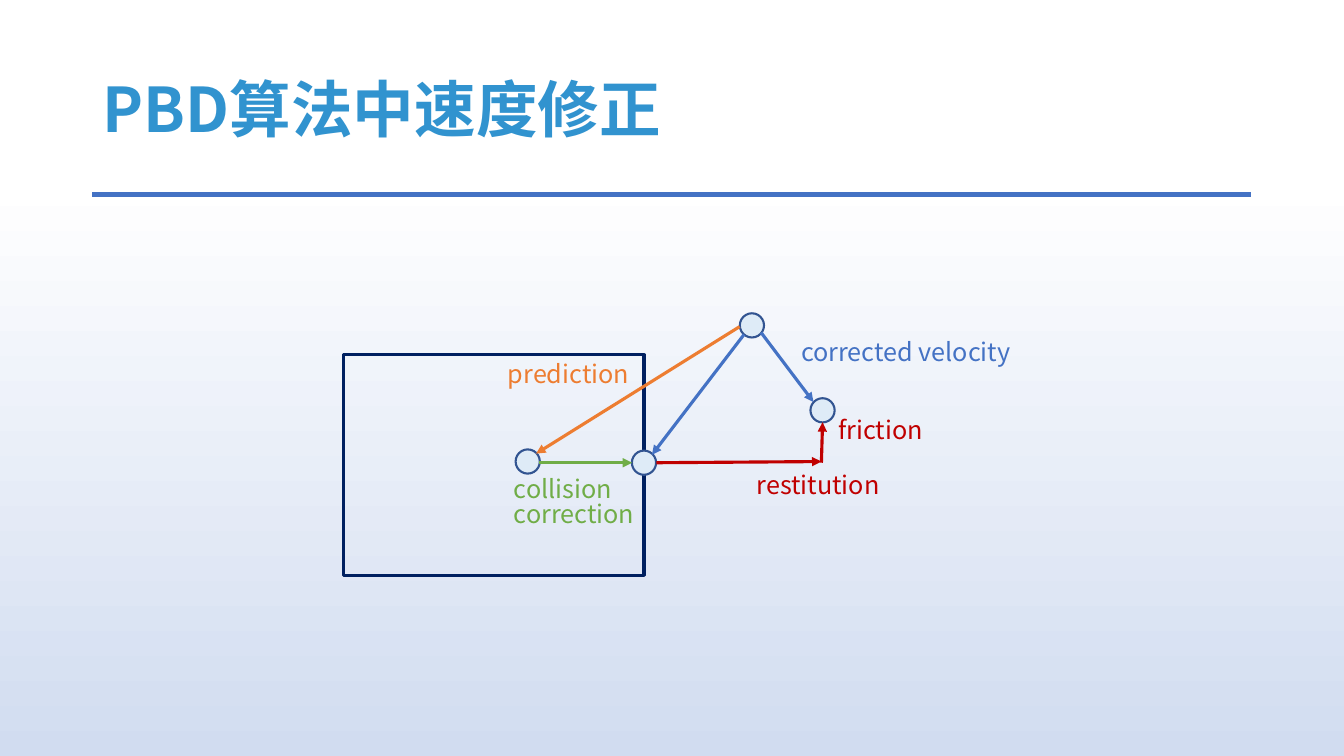
from lxml import etree
from pptx import Presentation
from pptx.dml.color import RGBColor
from pptx.enum.shapes import MSO_CONNECTOR, MSO_SHAPE
from pptx.enum.text import MSO_ANCHOR, MSO_AUTO_SIZE, PP_ALIGN
from pptx.oxml.ns import qn
from pptx.util import Cm, Pt

FONT = "Noto Sans CJK SC"
COLORS = {
    "title": "3193CF", "blue": "4472C4", "navy": "002060",
    "orange": "ED7D31", "green": "70AD47", "red": "C00000",
    "particle": "DEEBF7", "outline": "325491",
    "bg_top": "FFFFFF", "bg_bottom": "D1DCF0",
}
PARTICLE_SIZE = 0.61


def rgb(name):
    return RGBColor.from_string(COLORS[name])


def set_background(s):
    fill = s.background.fill
    fill.gradient()
    fill.gradient_angle = 270
    for stop, position, name in zip(fill.gradient_stops, (0.24, 1), ("bg_top", "bg_bottom")):
        stop.position = position
        stop.color.rgb = rgb(name)


def format_text(tf, size, color, spacing, bold=False):
    for p in tf.paragraphs:
        p.alignment = PP_ALIGN.LEFT
        p.line_spacing = spacing
        for r in p.runs:
            r.font.size = Pt(size)
            r.font.bold = bold
            r.font.name = FONT
            r.font.color.rgb = rgb(color)
            ea = etree.SubElement(r.font._element, qn("a:ea"))
            ea.set("typeface", FONT)


def set_title(s, text):
    sp = s.shapes.title
    sp.left, sp.top, sp.width, sp.height = Cm(2.33), Cm(1.02), Cm(29.21), Cm(3.68)
    tf = sp.text_frame
    tf.text = text
    tf.auto_size = MSO_AUTO_SIZE.NONE
    tf.vertical_anchor = MSO_ANCHOR.MIDDLE
    format_text(tf, 44, "title", 0.84, bold=True)


def add_line(s, x1, y1, x2, y2, color, width=2.25, arrow=True):
    line = s.shapes.add_connector(MSO_CONNECTOR.STRAIGHT, Cm(x1), Cm(y1), Cm(x2), Cm(y2))
    line.line.color.rgb = rgb(color)
    line.line.width = Pt(width)
    if arrow:
        etree.SubElement(line.line._get_or_add_ln(), qn("a:tailEnd")).set("type", "triangle")
    etree.SubElement(line._element.spPr, qn("a:effectLst"))


def add_outlined(s, kind, x, y, w, h, color, width, fill=None):
    sp = s.shapes.add_shape(kind, Cm(x), Cm(y), Cm(w), Cm(h))
    sp.shadow.inherit = False
    sp.line.color.rgb = rgb(color)
    sp.line.width = Pt(width)
    if fill:
        sp.fill.solid()
        sp.fill.fore_color.rgb = rgb(fill)
    else:
        sp.fill.background()


def add_particle(s, cx, cy):
    d = PARTICLE_SIZE
    add_outlined(s, MSO_SHAPE.OVAL, cx - d / 2, cy - d / 2, d, d, "outline", 1.5, "particle")


def add_label(s, text, x, y, w, color):
    height = 1.02 + 0.78 * text.count("\n")
    tf = s.shapes.add_textbox(Cm(x), Cm(y), Cm(w), Cm(height)).text_frame
    tf.text = text
    tf.word_wrap = False
    tf.auto_size = MSO_AUTO_SIZE.SHAPE_TO_FIT_TEXT
    format_text(tf, 18, color, 0.82)


def main():
    prs = Presentation()
    prs.slide_width, prs.slide_height = Cm(33.87), Cm(19.05)
    s = prs.slides.add_slide(prs.slide_layouts[5])

    # Background, title and rule
    set_background(s)
    set_title(s, "PBD算法中速度修正")
    add_line(s, 2.33, 4.9, 31.52, 4.9, "blue", 3.5, arrow=False)

    # Obstacle
    add_outlined(s, MSO_SHAPE.RECTANGLE, 8.66, 8.94, 7.57, 5.56, "navy", 2.25)

    # Particles: start, predicted, contact, corrected
    for center in ((18.95, 8.2), (13.3, 11.63), (16.23, 11.66), (20.73, 10.34)):
        add_particle(s, *center)

    # Motion and correction arrows
    for arrow in (
        (18.64, 8.23, 13.51, 11.43, "orange"),
        (13.59, 11.66, 15.93, 11.66, "green"),
        (18.75, 8.43, 16.43, 11.46, "blue"),
        (19.18, 8.38, 20.5, 10.13, "blue"),
        (16.54, 11.66, 20.7, 11.63, "red"),
        (20.7, 11.66, 20.73, 10.64, "red"),
    ):
        add_line(s, *arrow)

    # Labels
    for label in (
        ("prediction", 12.55, 9.04, 3.63, "orange"),
        ("collision\ncorrection", 12.7, 11.94, 3.63, "green"),
        ("restitution", 18.82, 11.84, 3.68, "red"),
        ("friction", 20.88, 10.46, 2.69, "red"),
        ("corrected velocity", 19.94, 8.48, 5.97, "blue"),
    ):
        add_label(s, *label)

    prs.save("out.pptx")


if __name__ == "__main__":
    main()
